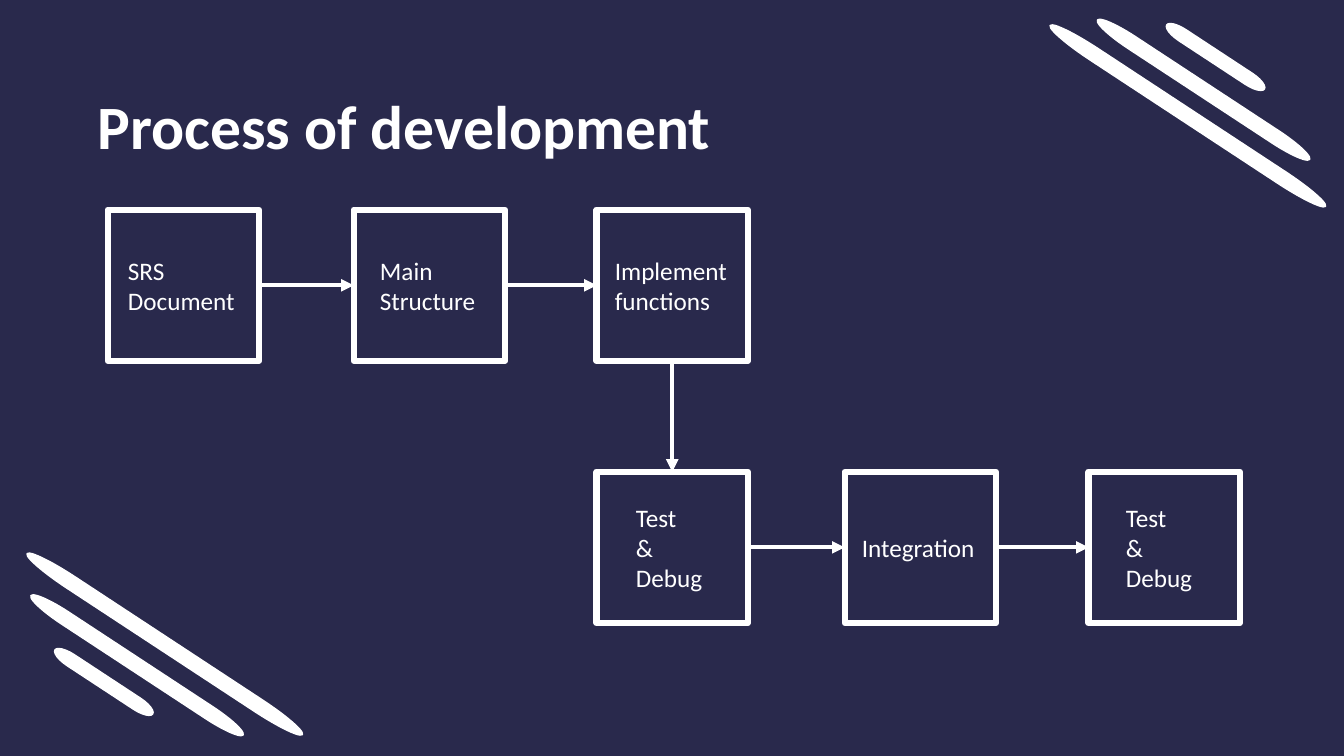
from lxml import etree
from pptx import Presentation
from pptx.dml.color import RGBColor
from pptx.enum import shapes, text
from pptx.oxml import ns
from pptx.util import Pt

NAVY = RGBColor(0x29, 0x29, 0x4C)
WHITE = RGBColor(0xFF, 0xFF, 0xFF)
FONT = "Calibri"
BOX = 108
TOP_ROW, BOTTOM_ROW = 149.8, 337

# Label, left, top, left inset of the text
STEPS = [
    ("SRS\nDocument", 77, TOP_ROW, 14.4),
    ("Main\nStructure", 252.7, TOP_ROW, 18.7),
    ("Implement\nfunctions", 426.2, TOP_ROW, 13),
    ("Test\n&\nDebug", 426.2, BOTTOM_ROW, 28),
    ("Integration", 603.4, BOTTOM_ROW, 12.2),
    ("Test\n&\nDebug", 777.6, BOTTOM_ROW, 26.6),
]

# Length and thickness of each stripe, then its centre in each corner
STRIPE_SIZES = [(83.5, 9.4), (181.4, 10), (235.4, 10)]
STRIPE_ANGLE = 33.3
CORNERS = [
    [(74.2, 487.1), (97.9, 475.2), (117.7, 460.1)],
    [(868.3, 40.7), (859.7, 64.1), (848.5, 82.8)],
]

# Connection sites of a rectangle
TOP, LEFT, BOTTOM, RIGHT = range(4)


def format_runs(tf, size, bold=False):
    for p in tf.paragraphs:
        p.alignment = text.PP_ALIGN.LEFT
        for r in p.runs:
            r.font.name = FONT
            r.font.size = Pt(size)
            r.font.bold = bold
            r.font.color.rgb = WHITE


def add_title(slide, title):
    sp = slide.shapes.title
    sp.left, sp.top, sp.width, sp.height = Pt(62.6), Pt(33.1), Pt(480), Pt(78.5)
    tf = sp.text_frame
    tf.text = title
    tf.word_wrap = True
    tf.auto_size = text.MSO_AUTO_SIZE.NONE
    tf.vertical_anchor = text.MSO_ANCHOR.TOP
    tf.paragraphs[0].line_spacing = 1.5
    format_runs(tf, 44, bold=True)


def add_step(slide, label, left, top, inset):
    sp = slide.shapes.add_shape(shapes.MSO_SHAPE.RECTANGLE,
                                Pt(left), Pt(top), Pt(BOX), Pt(BOX))
    sp.shadow.inherit = False
    sp.fill.background()
    sp.line.color.rgb = WHITE
    sp.line.width = Pt(4.5)
    tf = sp.text_frame
    tf.text = label
    tf.word_wrap = True
    tf.margin_left, tf.margin_right = Pt(inset), Pt(0)
    tf.vertical_anchor = text.MSO_ANCHOR.MIDDLE
    format_runs(tf, 18)
    return sp


def add_arrow(slide, start, end):
    below = end.top > start.top
    line = slide.shapes.add_connector(shapes.MSO_CONNECTOR.STRAIGHT, 0, 0, 0, 0)
    line.begin_connect(start, BOTTOM if below else RIGHT)
    line.end_connect(end, TOP if below else LEFT)
    line.line.color.rgb = WHITE
    line.line.width = Pt(3)
    ln = line.line._get_or_add_ln()
    etree.SubElement(ln, ns.qn("a:tailEnd"), type="triangle")
    etree.SubElement(line._element.spPr, ns.qn("a:effectLst"))


def add_stripe(slide, centre, size):
    (x, y), (length, thickness) = centre, size
    sp = slide.shapes.add_shape(shapes.MSO_SHAPE.FLOWCHART_TERMINATOR,
                                Pt(x - length / 2), Pt(y - thickness / 2),
                                Pt(length), Pt(thickness))
    sp.rotation = STRIPE_ANGLE
    sp.shadow.inherit = False
    sp.fill.solid()
    sp.fill.fore_color.rgb = WHITE
    sp.line.color.rgb = WHITE
    sp.line.width = Pt(1)


def main():
    prs = Presentation()
    prs.slide_width, prs.slide_height = Pt(960), Pt(540)
    slide = prs.slides.add_slide(prs.slide_layouts.get_by_name("Title Only"))
    slide.background.fill.solid()
    slide.background.fill.fore_color.rgb = NAVY

    add_title(slide, "Process of development")

    # Process flow
    steps = [add_step(slide, *step) for step in STEPS]
    for start, end in zip(steps, steps[1:]):
        add_arrow(slide, start, end)

    # Corner stripes
    for centres in CORNERS:
        for centre, size in zip(centres, STRIPE_SIZES):
            add_stripe(slide, centre, size)

    prs.save("out.pptx")


if __name__ == "__main__":
    main()
